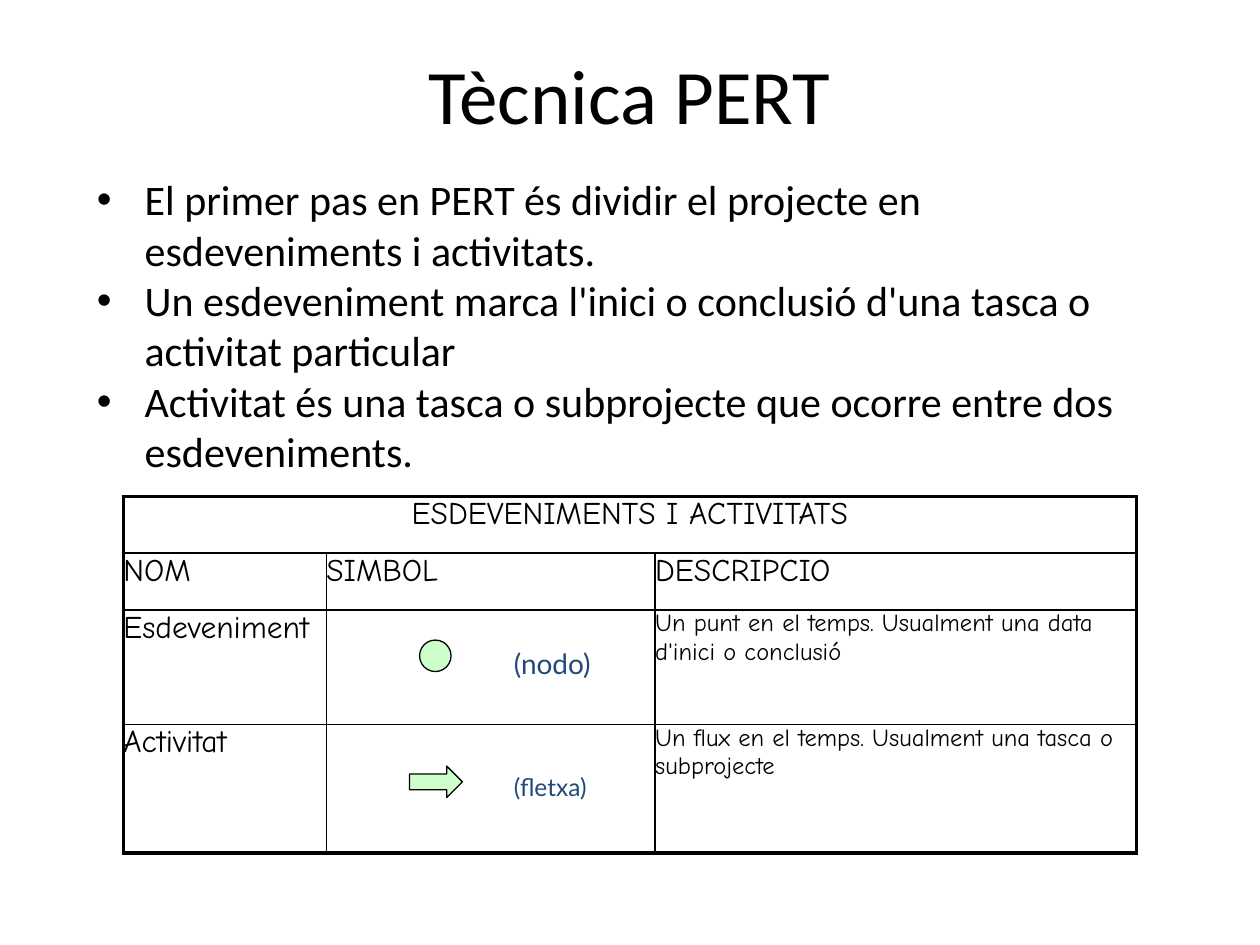
from lxml.etree import SubElement
from pptx import Presentation
from pptx.dml.color import RGBColor
from pptx.enum.shapes import MSO_SHAPE
from pptx.enum.text import MSO_ANCHOR, PP_ALIGN
from pptx.oxml import parse_xml
from pptx.oxml.ns import nsdecls, qn
from pptx.util import Inches, Pt

COLORS = {"ink": "000000", "symbol": "CCFFCC", "label": "1F497D"}

STEPS = [
    "El primer pas en PERT és dividir el projecte en esdeveniments i activitats.",
    "Un esdeveniment marca l'inici o conclusió d'una tasca o activitat particular",
    "Activitat és una tasca o subprojecte que ocorre entre dos esdeveniments.",
]
ROWS = [
    ["ESDEVENIMENTS I ACTIVITATS", "", ""],
    ["NOM", "SIMBOL", "DESCRIPCIO"],
    ["Esdeveniment", "", "Un punt en el temps. Usualment una data d'inici o conclusió"],
    ["Activitat", "", "Un flux en el temps. Usualment una tasca o subprojecte"],
]
COLUMN_WIDTHS = [1.61, 2.61, 3.82]
ROW_HEIGHTS = [0.45, 0.45, 0.91, 1.02]


def rgb(name):
    return RGBColor.from_string(COLORS[name])


def write(frame, *paragraphs, size, font="Calibri", color="ink",
          align=PP_ALIGN.LEFT, bullet=False):
    frame.word_wrap = True
    for index, text in enumerate(paragraphs):
        paragraph = frame.paragraphs[0] if index == 0 else frame.add_paragraph()
        paragraph.alignment = align
        run = paragraph.add_run()
        run.text = text
        run.font.size = Pt(size)
        run.font.name = font
        run.font.color.rgb = rgb(color)
        if bullet:
            properties = paragraph._p.get_or_add_pPr()
            properties.set("marL", str(Inches(0.38)))
            properties.set("indent", str(-Inches(0.38)))
            SubElement(properties, qn("a:buFont"), typeface="Arial")
            SubElement(properties, qn("a:buChar"), char="•")


def add_text(slide, box, *paragraphs, **text_format):
    frame = slide.shapes.add_textbox(*map(Inches, box)).text_frame
    frame.vertical_anchor = MSO_ANCHOR.TOP
    write(frame, *paragraphs, **text_format)


def add_symbol(slide, preset, box):
    symbol = slide.shapes.add_shape(preset, *map(Inches, box))
    symbol.shadow.inherit = False
    symbol.fill.solid()
    symbol.fill.fore_color.rgb = rgb("symbol")
    symbol.line.color.rgb = rgb("ink")
    symbol.line.width = Pt(0.75)


def set_borders(cell, **widths):
    """Draw the cell's edges, given in the order L, R, T, B."""
    properties = cell._tc.get_or_add_tcPr()
    for index, (side, width) in enumerate(widths.items()):
        properties.insert(index, parse_xml(
            f'<a:ln{side} {nsdecls("a")} w="{Pt(width)}"><a:solidFill>'
            f'<a:srgbClr val="{COLORS["ink"]}"/></a:solidFill></a:ln{side}>'))


def add_definitions(slide):
    last_row, last_column = len(ROWS) - 1, len(COLUMN_WIDTHS) - 1
    table = slide.shapes.add_table(
        len(ROWS), len(COLUMN_WIDTHS), Inches(0.98), Inches(3.94),
        Inches(sum(COLUMN_WIDTHS)), Inches(sum(ROW_HEIGHTS))).table
    table.first_row = table.horz_banding = False
    for column, width in zip(table.columns, COLUMN_WIDTHS):
        column.width = Inches(width)
    for row, height in zip(table.rows, ROW_HEIGHTS):
        row.height = Inches(height)
    table.cell(0, 0).merge(table.cell(0, last_column))

    def edge(outer):
        return 2.25 if outer else 1

    for r, texts in enumerate(ROWS):
        for c, text in enumerate(texts):
            cell = table.cell(r, c)
            cell.fill.background()
            cell.margin_left = cell.margin_right = 0
            cell.margin_top = cell.margin_bottom = 0
            set_borders(cell, L=edge(c == 0 or r == 0),
                        R=edge(c == last_column or r == 0),
                        T=edge(r == 0), B=edge(r == last_row))
            if text:
                write(cell.text_frame, text, font="Comic Neue",
                      size=14 if r > 1 and c == last_column else 18,
                      align=PP_ALIGN.CENTER if r == 0 else PP_ALIGN.LEFT)


def main():
    presentation = Presentation()
    presentation.slide_width = Inches(10)
    presentation.slide_height = Inches(7.5)
    slide = presentation.slides.add_slide(presentation.slide_layouts[6])

    add_text(slide, (0.75, 0.33, 8.5, 1.25), "Tècnica PERT",
             size=44, align=PP_ALIGN.CENTER)
    add_text(slide, (0.67, 1.33, 8.5, 4.5), *STEPS, size=24, bullet=True)
    add_definitions(slide)
    add_symbol(slide, MSO_SHAPE.OVAL, (3.33, 5.08, 0.25, 0.25))
    add_symbol(slide, MSO_SHAPE.RIGHT_ARROW, (3.25, 6.08, 0.42, 0.25))
    add_text(slide, (3.98, 5.08, 1.02, 0.37), "(nodo)",
             size=16, font="Lato", color="label")
    add_text(slide, (3.98, 6.08, 1.02, 0.33), "(fletxa)",
             size=14, font="Lato", color="label")

    presentation.save("out.pptx")


if __name__ == "__main__":
    main()
